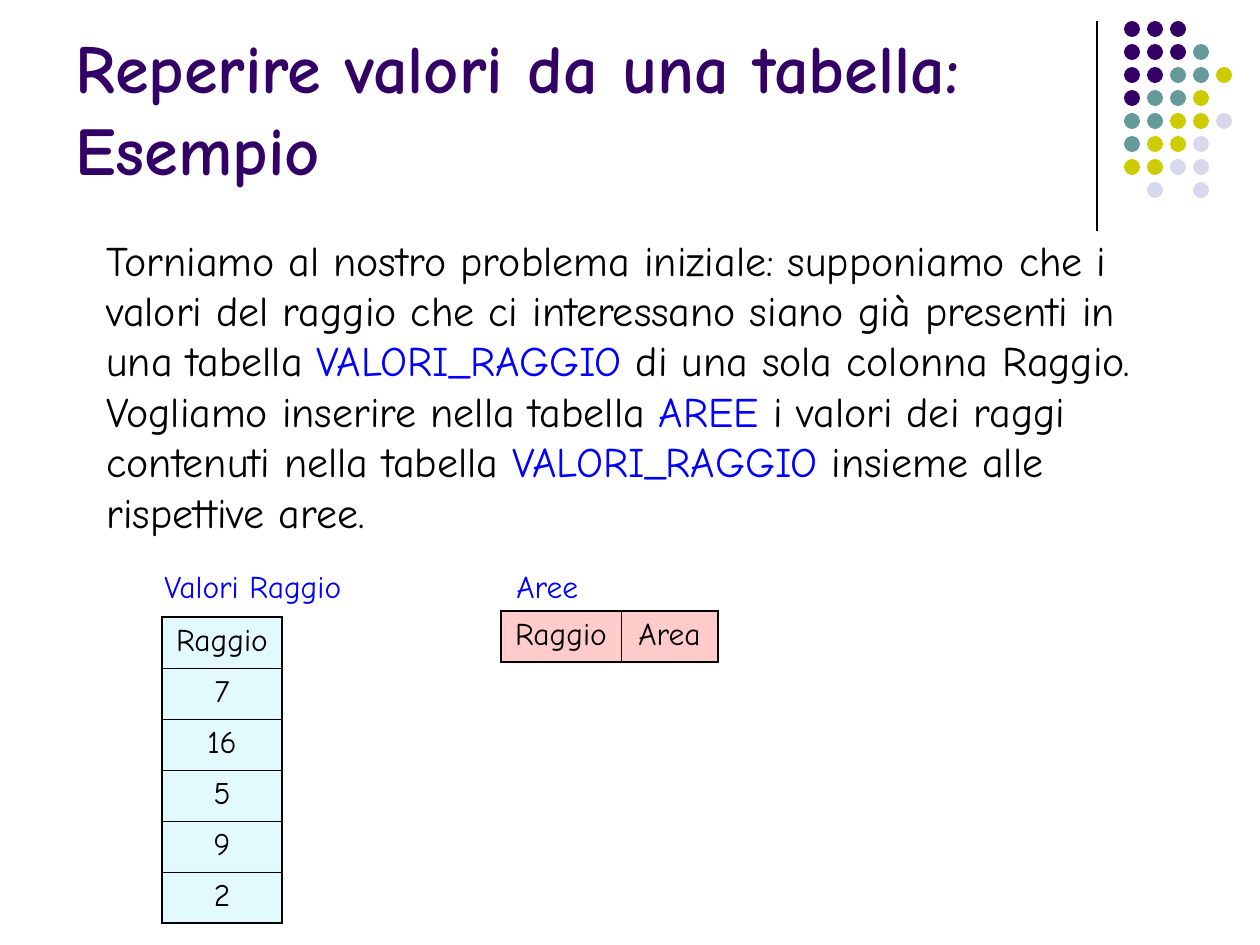
"""Build the slide on looking up radius values in a table."""
from lxml import etree
from pptx import Presentation
from pptx.dml.color import RGBColor
from pptx.enum.shapes import MSO_CONNECTOR, MSO_SHAPE
from pptx.enum.text import MSO_ANCHOR, PP_ALIGN
from pptx.oxml.ns import qn
from pptx.util import Emu, Pt

STRAIGHT = MSO_CONNECTOR.STRAIGHT
OVAL = MSO_SHAPE.OVAL
TOP, BOTTOM = MSO_ANCHOR.TOP, MSO_ANCHOR.BOTTOM
CENTER = PP_ALIGN.CENTER

FONT = "Comic Neue"
COLORS = {
    "purple": "330066", "teal": "669999", "olive": "CCCC00", "lilac": "D8D8EC",
    "black": "000000", "blue": "0000FF", "aqua": "C7F4FD", "rose": "FF9999",
}

TITLE = [("Reperire valori da una tabella: Esempio", "purple")]
PROBLEM = [
    ("Torniamo al nostro problema iniziale: supponiamo che i valori del raggio "
     "che ci interessano siano già presenti in una tabella ", "black"),
    ("VALORI_RAGGIO", "blue"),
    (" di una sola colonna Raggio. Vogliamo inserire nella tabella ", "black"),
    ("AREE", "blue"),
    (" i valori dei raggi contenuti nella tabella ", "black"),
    ("VALORI_RAGGIO", "blue"),
    (" insieme alle rispettive aree.", "black"),
]
TABLES = [
    {"label": "Valori Raggio", "label_box": (152, 561, 204, 50),
     "corner": (162, 617), "widths": [120], "fill": "aqua",
     "rows": [["Raggio"], ["7"], ["16"], ["5"], ["9"], ["2"]]},
    {"label": "Aree", "label_box": (504, 561, 87, 50),
     "corner": (501, 611), "widths": [120, 97], "fill": "rose",
     "rows": [["Raggio", "Area"]]},
]
DOT_ROWS = ["PPP", "PPPT", "PPTTO", "PTTO", "TTOOL", "TOOL", "OOLL", " L L"]
DOT_COLORS = {"P": "purple", "T": "teal", "O": "olive", "L": "lilac"}
DOT_LEFT, DOT_TOP, DOT_SIZE, DOT_STEP = 1124, 21, 16, 23
ROW_HEIGHT = 51
OUTER, INNER = 1.08, 0.45


def px(value):
    return Emu(value * 914400 // 126)


def rgb(name):
    return RGBColor.from_string(COLORS[name])


def add_text(slide, box, runs, size, bold=False, anchor=TOP, wrap=True):
    frame = slide.shapes.add_textbox(*map(px, box)).text_frame
    frame.word_wrap = wrap
    frame.vertical_anchor = anchor
    paragraph = frame.paragraphs[0]
    paragraph.font.name = FONT
    paragraph.font.size = Pt(size)
    paragraph.font.bold = bold
    for words, color in runs:
        run = paragraph.add_run()
        run.text = words
        run.font.color.rgb = rgb(color)


def style_cell(cell, fill, borders):
    cell.fill.solid()
    cell.fill.fore_color.rgb = rgb(fill)
    props = cell._tc.get_or_add_tcPr()
    tint = props.find(".//" + qn("a:srgbClr"))
    etree.SubElement(tint, qn("a:alpha"), val="50000")
    for position, (side, width) in enumerate(borders.items()):
        line = etree.Element(qn("a:ln" + side), w=str(Pt(width)))
        solid = etree.SubElement(line, qn("a:solidFill"))
        etree.SubElement(solid, qn("a:srgbClr"), val=COLORS["black"])
        props.insert(position, line)


def add_labelled_table(slide, content):
    rows, widths = content["rows"], content["widths"]
    last_row, last_col = len(rows) - 1, len(widths) - 1
    size = (sum(widths), ROW_HEIGHT * len(rows))
    table = slide.shapes.add_table(
        len(rows), len(widths), *map(px, content["corner"] + size)).table
    table.first_row = table.horz_banding = False
    for column, width in zip(table.columns, widths):
        column.width = px(width)
    for r, values in enumerate(rows):
        table.rows[r].height = px(ROW_HEIGHT)
        for c, value in enumerate(values):
            cell = table.cell(r, c)
            cell.text = value
            paragraph = cell.text_frame.paragraphs[0]
            paragraph.alignment = CENTER
            paragraph.font.name = FONT
            paragraph.font.size = Pt(18)
            paragraph.font.color.rgb = rgb("black")
            style_cell(cell, content["fill"], {
                "L": OUTER if c == 0 else INNER,
                "R": OUTER if c == last_col else INNER,
                "T": OUTER if r == 0 else INNER,
                "B": OUTER if r == last_row else INNER,
            })
    add_text(slide, content["label_box"], [(content["label"], "blue")], 18, wrap=False)


def add_decoration(slide):
    rule = slide.shapes.add_connector(STRAIGHT, *map(px, (1097, 21, 1097, 231)))
    rule.line.color.rgb = rgb("black")
    rule.line.width = Pt(0.75)
    etree.SubElement(rule._element.spPr, qn("a:effectLst"))
    for r, codes in enumerate(DOT_ROWS):
        for c, code in enumerate(codes):
            if code == " ":
                continue
            left, top = DOT_LEFT + c * DOT_STEP, DOT_TOP + r * DOT_STEP
            dot = slide.shapes.add_shape(
                OVAL, *map(px, (left, top, DOT_SIZE, DOT_SIZE)))
            dot.shadow.inherit = False
            dot.fill.solid()
            dot.fill.fore_color.rgb = rgb(DOT_COLORS[code])
            dot.line.fill.background()


def main():
    deck = Presentation()
    deck.slide_width, deck.slide_height = px(1260), px(945)
    slide = deck.slides.add_slide(deck.slide_layouts[6])
    add_decoration(slide)
    add_text(slide, (63, 16, 1040, 179), TITLE, 39, bold=True, anchor=BOTTOM)
    add_text(slide, (94, 228, 1085, 315), PROBLEM, 24)
    for content in TABLES:
        add_labelled_table(slide, content)
    deck.save("out.pptx")


if __name__ == "__main__":
    main()
